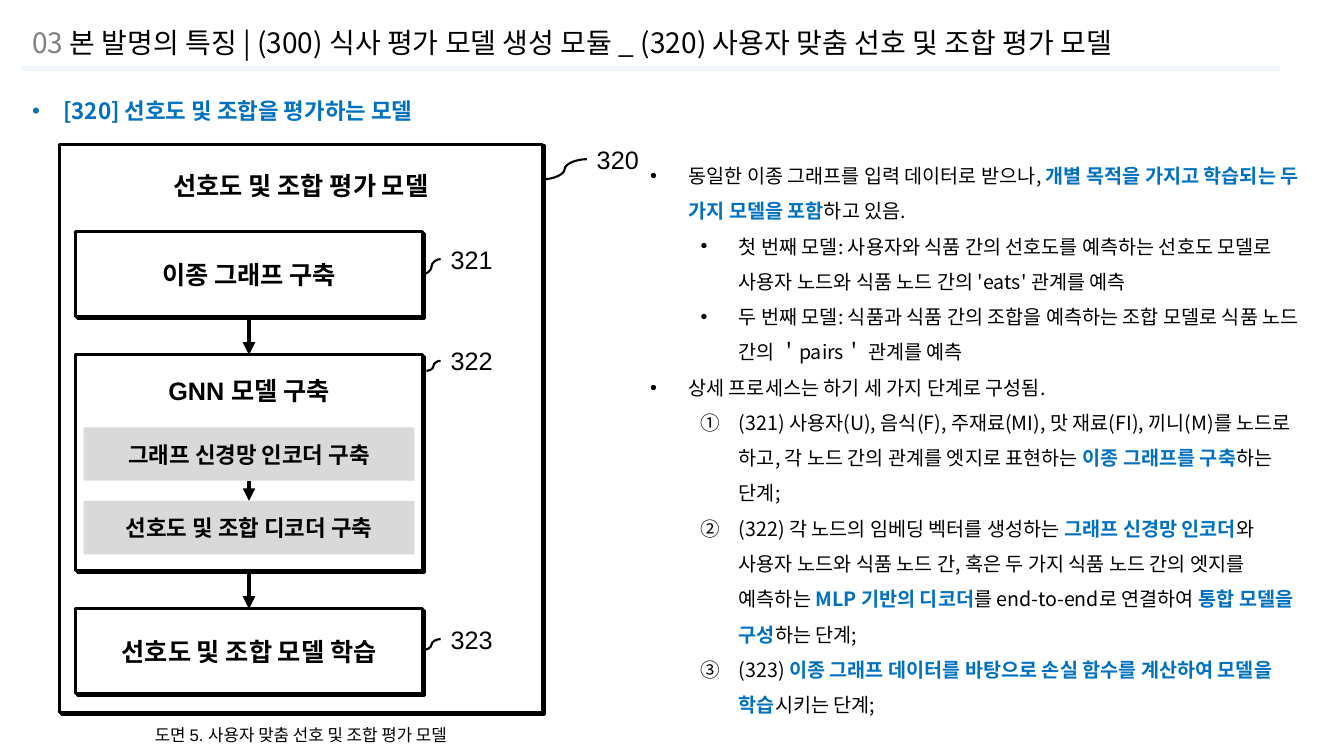
import pptx
import pptx.dml.color
import pptx.enum.shapes
import pptx.enum.text
import pptx.oxml
import pptx.oxml.ns
import pptx.util
from pptx.util import Inches

RGBColor = pptx.dml.color.RGBColor
BLACK = RGBColor(0x00, 0x00, 0x00)
WHITE = RGBColor(0xFF, 0xFF, 0xFF)
GRAY = RGBColor(0x80, 0x80, 0x80)
SILVER = RGBColor(0xD9, 0xD9, 0xD9)
BLUE = RGBColor(0x00, 0x70, 0xC0)
PALE = RGBColor(0xF0, 0xF6, 0xFC)
KOREAN = "Noto Sans CJK KR"
ALIGN = pptx.enum.text.PP_ALIGN
ANCHOR = pptx.enum.text.MSO_ANCHOR
LINK = pptx.enum.shapes.MSO_CONNECTOR
DOT = '<a:buChar {} char="•"/>'
CIRCLED = '<a:buAutoNum {} type="circleNumDbPlain"/>'

TITLE = "*03 *본 발명의 특징 | (300) 식사 평가 모델 생성 모듈 _ (320) 사용자 맞춤 선호 및 조합 평가 모델"
HEADING = "*[320] 선호도 및 조합을 평가하는 모델*"
CAPTION = "도면 5. 사용자 맞춤 선호 및 조합 평가 모델"
MODEL = "선호도 및 조합 평가 모델"
STEPS = [
    ("이종 그래프 구축", 2.3, 0.84, 0.05),
    ("GNN 모델 구축", 3.52, 2.14, 1.54),
    ("선호도 및 조합 모델 학습", 6.04, 0.84, 0.05),
]
PARTS = [("그래프 신경망 인코더 구축", 4.24), ("선호도 및 조합 디코더 구축", 4.97)]
CALLOUTS = [
    ("320", 5.38, 1.78, 5.82, 1.58),
    ("321", 4.19, 2.72, 4.37, 2.57),
    ("322", 4.23, 3.68, 4.37, 3.58),
    ("323", 4.19, 6.45, 4.37, 6.34),
]
DETAILS = [
    (0, DOT, "동일한 이종 그래프를 입력 데이터로 받으나, *개별 목적을 가지고 학습되는 두 가지 모델을 포함*하고 있음."),
    (1, DOT, "첫 번째 모델: 사용자와 식품 간의 선호도를 예측하는 선호도 모델로 사용자 노드와 식품 노드 간의 'eats' 관계를 예측"),
    (1, DOT, "두 번째 모델: 식품과 식품 간의 조합을 예측하는 조합 모델로 식품 노드 간의 ＇pairs＇ 관계를 예측"),
    (0, DOT, "상세 프로세스는 하기 세 가지 단계로 구성됨."),
    (1, CIRCLED, "(321) 사용자(U), 음식(F), 주재료(MI), 맛 재료(FI), 끼니(M)를 노드로 하고, "
                 "각 노드 간의 관계를 엣지로 표현하는 *이종 그래프를 구축*하는 단계;"),
    (1, CIRCLED, "(322) 각 노드의 임베딩 벡터를 생성하는 *그래프 신경망 인코더*와 사용자 노드와 식품 노드 간, "
                 "혹은 두 가지 식품 노드 간의 엣지를 예측하는 *MLP 기반의 디코더*를 end-to-end로 연결하여 "
                 "*통합 모델을 구성*하는 단계;"),
    (1, CIRCLED, "(323) *이종 그래프 데이터를 바탕으로 손실 함수를 계산하여 모델을 학습*시키는 단계;"),
]


def element(markup):
    """Parse one drawing element, its namespace going where {} stands."""
    return pptx.oxml.parse_xml(markup.format(pptx.oxml.ns.nsdecls("a")))


def write(para, text, size=18, font="Arial", bold=False, align=ALIGN.LEFT,
          accent=BLUE, accent_bold=True):
    """Fill a paragraph, giving the accent to the pieces between asterisks."""
    para.alignment = align
    for index, piece in enumerate(text.split("*")):
        if not piece:
            continue
        marked = index % 2 == 1
        span = para.add_run()
        span.text = piece
        span.font.size = pptx.util.Pt(size)
        span.font.name = font
        span.font.bold = accent_bold if marked else bold
        span.font.color.rgb = accent if marked else BLACK
        latin = span.font._element.find(pptx.oxml.ns.qn("a:latin"))
        latin.addnext(element(f'<a:ea {{}} typeface="{KOREAN}"/>'))


def add_bullet(para, bullet, margin, hang):
    """Give a paragraph its bullet, hanging indent and line spacing."""
    para.line_spacing = 1.5
    props = para._p.get_or_add_pPr()
    props.set("marL", str(Inches(margin)))
    props.set("indent", str(-Inches(hang)))
    props.append(element('<a:buFont {} typeface="Arial"/>'))
    props.append(element(bullet))


def add_text(page, left, top, width, height, wrap=True):
    """Add an empty text box that grows with its text."""
    box = page.shapes.add_textbox(*map(Inches, (left, top, width, height)))
    box.text_frame.word_wrap = wrap
    box.text_frame.auto_size = pptx.enum.text.MSO_AUTO_SIZE.SHAPE_TO_FIT_TEXT
    return box.text_frame


def add_box(page, left, top, width, height, fill=WHITE, framed=True):
    """Add a rectangle, framed with a hard shadow or plain."""
    box = page.shapes.add_shape(pptx.enum.shapes.MSO_SHAPE.RECTANGLE,
                                *map(Inches, (left, top, width, height)))
    box.fill.solid()
    box.fill.fore_color.rgb = fill
    box.shadow.inherit = False
    box.text_frame.vertical_anchor = ANCHOR.MIDDLE
    if framed:
        box.line.color.rgb = BLACK
        box.line.width = pptx.util.Pt(2.25)
        effects = box._element.spPr.find(pptx.oxml.ns.qn("a:effectLst"))
        effects.append(element(
            '<a:outerShdw {} blurRad="0" dist="25400" dir="2520000" algn="tl" rotWithShape="0">'
            '<a:srgbClr val="000000"/></a:outerShdw>'))
    else:
        box.line.fill.background()
    return box


def add_line(page, kind, points, color=BLACK, width=3):
    """Add a connector without a shadow."""
    line = page.shapes.add_connector(kind, *map(Inches, points))
    line.line.color.rgb = color
    line.line.width = pptx.util.Pt(width)
    line._element.spPr.append(element("<a:effectLst {}/>"))
    return line


def add_arrow(page, upper, lower):
    """Join the bottom of one box to the top of the next."""
    arrow = add_line(page, LINK.STRAIGHT, (0, 0, 0, 0))
    arrow.begin_connect(upper, 2)
    arrow.end_connect(lower, 0)
    arrow.line._get_or_add_ln().append(element('<a:tailEnd {} type="triangle"/>'))


def main():
    """Build the slide and save it."""
    deck = pptx.Presentation()
    deck.slide_width, deck.slide_height = Inches(13.33), Inches(7.5)
    page = deck.slides.add_slide(deck.slide_layouts[5])
    add_line(page, LINK.STRAIGHT, (0.22, 0.68, 12.7, 0.68), color=PALE)

    title = page.shapes.title
    title.left, title.top, title.width, title.height = map(Inches, (0.22, 0.2, 12.95, 0.44))
    title.text_frame.vertical_anchor = ANCHOR.TOP
    title.text_frame.auto_size = pptx.enum.text.MSO_AUTO_SIZE.NONE
    write(title.text_frame.paragraphs[0], TITLE, size=20, font=KOREAN,
          accent=GRAY, accent_bold=False)

    add_box(page, 0.59, 1.43, 4.79, 5.64)
    write(add_text(page, 0.91, 1.64, 4.15, 0.4).paragraphs[0], MODEL,
          bold=True, align=ALIGN.CENTER)
    steps, parts = [], []
    for label, top, height, bottom in STEPS:
        box = add_box(page, 0.75, top, 3.44, height)
        box.text_frame.margin_bottom = Inches(bottom)
        box.text_frame.margin_top = Inches(min(bottom, 0.1))
        write(box.text_frame.paragraphs[0], label, bold=True, align=ALIGN.CENTER)
        steps.append(box)
    for label, top in PARTS:
        box = add_box(page, 0.83, top, 3.28, 0.53, fill=SILVER, framed=False)
        write(box.text_frame.paragraphs[0], label, size=16, bold=True, align=ALIGN.CENTER)
        parts.append(box)
    for chain in (steps, parts):
        for upper, lower in zip(chain, chain[1:]):
            add_arrow(page, upper, lower)
    for number, *points in CALLOUTS:
        add_line(page, LINK.CURVE, points, width=1.5)
        frame = add_text(page, points[2], points[3] - 0.2, 0.62, 0.4, wrap=False)
        write(frame.paragraphs[0], number)
    write(add_text(page, 0.59, 7.14, 4.79, 0.3).paragraphs[0], CAPTION,
          size=12, align=ALIGN.CENTER)

    heading = add_text(page, 0.22, 0.78, 12.89, 0.45).paragraphs[0]
    write(heading, HEADING, size=16, font=KOREAN)
    add_bullet(heading, DOT, 0.31, 0.31)
    frame = add_text(page, 6.35, 1.46, 6.66, 5.71)
    for index, (level, bullet, text) in enumerate(DETAILS):
        para = frame.add_paragraph() if index else frame.paragraphs[0]
        para.level = level
        write(para, text, size=14, font=KOREAN)
        add_bullet(para, bullet, 0.38 + 0.5 * level, 0.38)
    deck.save("out.pptx")


if __name__ == "__main__":
    main()
